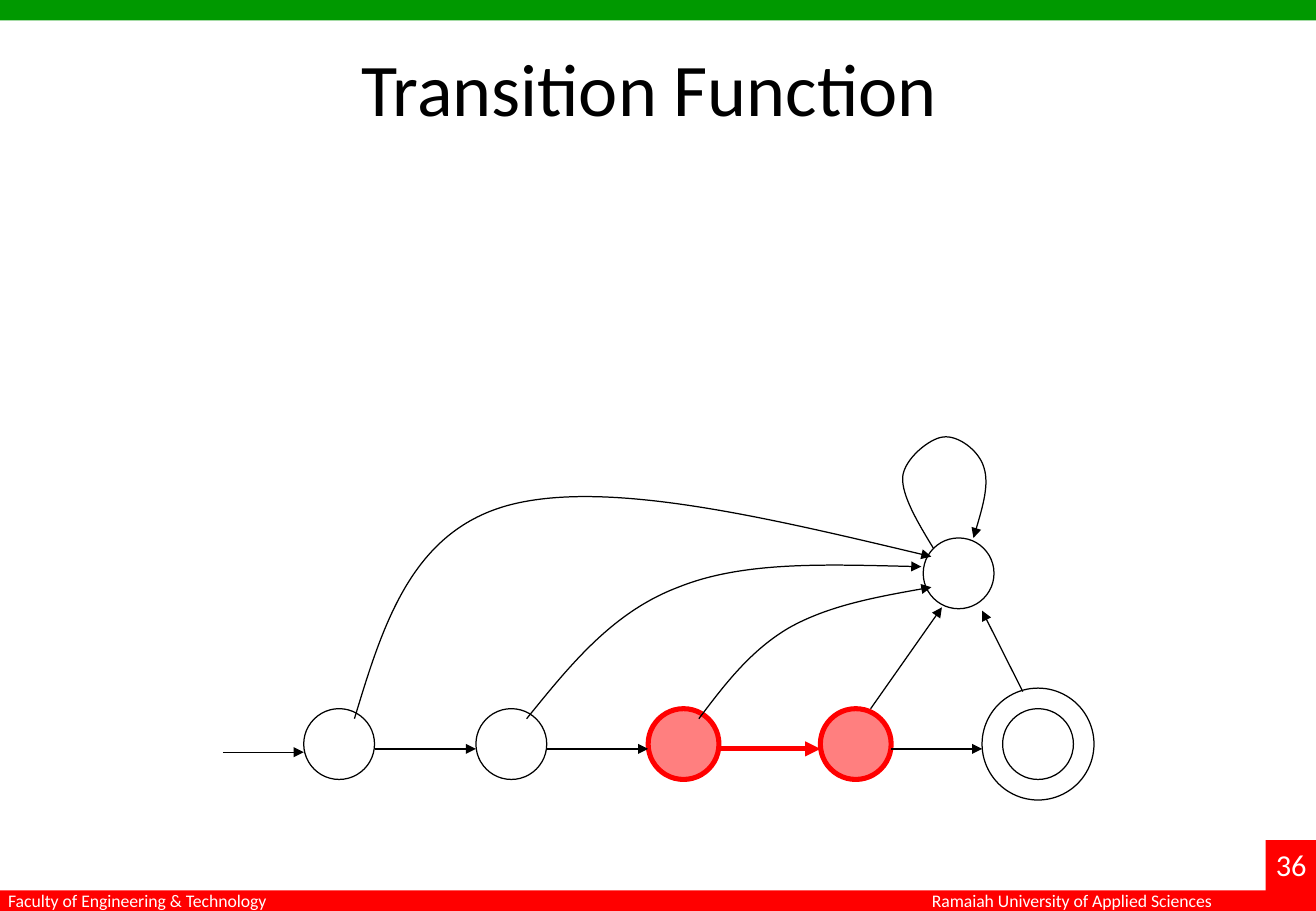
from dataclasses import dataclass

from lxml import etree
from pptx import Presentation
from pptx.dml.color import RGBColor
from pptx.enum.shapes import MSO_CONNECTOR, MSO_SHAPE
from pptx.enum.text import PP_ALIGN
from pptx.oxml.ns import qn
from pptx.util import Cm, Pt

STRAIGHT = MSO_CONNECTOR.STRAIGHT
RECTANGLE, OVAL = MSO_SHAPE.RECTANGLE, MSO_SHAPE.OVAL
LEFT, CENTER = PP_ALIGN.LEFT, PP_ALIGN.CENTER
Point = tuple[float, float]


@dataclass(frozen=True)
class Theme:
    font: str = "Calibri"
    black: RGBColor = RGBColor(0, 0, 0)
    white: RGBColor = RGBColor(255, 255, 255)
    red: RGBColor = RGBColor(255, 0, 0)
    green: RGBColor = RGBColor(0, 0x99, 0)
    title: float = 44
    number: float = 18
    footer: float = 10.5
    thin: float = 0.75
    thick: float = 3


THEME = Theme()


@dataclass(frozen=True)
class Bar:
    left: float
    top: float
    width: float
    height: float
    color: RGBColor


@dataclass(frozen=True)
class Label:
    text: str
    left: float
    top: float
    width: float
    height: float
    size: float
    color: RGBColor = THEME.white
    align: PP_ALIGN = LEFT
    wrap: bool = False


@dataclass(frozen=True)
class State:
    center: Point
    radius: float
    active: bool = False


@dataclass(frozen=True)
class Arrow:
    start: Point
    end: Point
    active: bool = False


@dataclass(frozen=True)
class Curve:
    start: Point
    controls: tuple[Point, ...]  # three points for each Bézier segment


def style_line(line, active: bool) -> None:
    line.color.rgb = THEME.red if active else THEME.black
    line.width = Pt(THEME.thick if active else THEME.thin)


def add_arrowhead(shape) -> None:
    outline = shape._element.spPr.find(qn("a:ln"))
    etree.SubElement(outline, qn("a:tailEnd"), type="triangle")


def draw_bar(slide, bar: Bar) -> None:
    shape = slide.shapes.add_shape(
        RECTANGLE, Cm(bar.left), Cm(bar.top), Cm(bar.width), Cm(bar.height))
    shape.shadow.inherit = False
    shape.fill.solid()
    shape.fill.fore_color.rgb = bar.color
    shape.line.fill.background()


def draw_label(slide, label: Label) -> None:
    box = slide.shapes.add_textbox(
        Cm(label.left), Cm(label.top), Cm(label.width), Cm(label.height))
    box.text_frame.word_wrap = label.wrap
    paragraph = box.text_frame.paragraphs[0]
    paragraph.text = label.text
    paragraph.alignment = label.align
    paragraph.font.name = THEME.font
    paragraph.font.size = Pt(label.size)
    paragraph.font.color.rgb = label.color


def draw_state(slide, state: State) -> None:
    x, y = state.center
    shape = slide.shapes.add_shape(
        OVAL, Cm(x - state.radius), Cm(y - state.radius),
        Cm(2 * state.radius), Cm(2 * state.radius))
    shape.shadow.inherit = False
    style_line(shape.line, state.active)
    if state.active:
        shape.fill.solid()
        shape.fill.fore_color.rgb = THEME.red
        color = shape._element.spPr.find(f"{qn('a:solidFill')}/{qn('a:srgbClr')}")
        etree.SubElement(color, qn("a:alpha"), val="50000")
    else:
        shape.fill.background()


def draw_arrow(slide, arrow: Arrow) -> None:
    connector = slide.shapes.add_connector(
        STRAIGHT, *(Cm(value) for value in arrow.start + arrow.end))
    style_line(connector.line, arrow.active)
    add_arrowhead(connector)
    etree.SubElement(connector._element.spPr, qn("a:effectLst"))


def draw_curve(slide, curve: Curve) -> None:
    builder = slide.shapes.build_freeform(Cm(curve.start[0]), Cm(curve.start[1]))
    builder.add_line_segments([(Cm(x), Cm(y)) for x, y in curve.controls], close=False)
    shape = builder.convert_to_shape()
    shape.shadow.inherit = False
    shape.fill.background()
    style_line(shape.line, False)
    add_arrowhead(shape)
    # Turn each three straight steps into one Bézier segment
    outline = next(shape._element.iter(qn("a:path")))
    steps = outline.findall(qn("a:lnTo"))
    for first in range(0, len(steps), 3):
        bezier = etree.SubElement(outline, qn("a:cubicBezTo"))
        for step in steps[first:first + 3]:
            bezier.append(step[0])
            outline.remove(step)


WIDTH, HEIGHT = 27.51, 19.05
BAND = 0.43
BARS = [
    Bar(0, HEIGHT - BAND, WIDTH, BAND, THEME.red),
    Bar(0, 0, WIDTH, BAND, THEME.green),
    Bar(26.46, 17.57, 1.05, 1.48, THEME.red),
]
LABELS = [
    Label("Ramaiah University of Applied Sciences", 19.23, 18.49, 6.5, 0.71, THEME.footer),
    Label("Faculty of Engineering & Technology", -0.08, 18.49, 6.05, 0.71, THEME.footer),
    Label("36", 26.42, 17.57, 1.27, 1.02, THEME.number),
    Label("Transition Function", 1.19, 0.76, 24.77, 3.18, THEME.title,
          THEME.black, CENTER, True),
]

# Chain of states, with the accepting state at its end and the trap state above
RADIUS, ACCEPT_RADIUS = 0.74, 1.17
FIRST_X, PITCH, CHAIN_Y, ARROW_Y = 7.09, 3.6, 15.56, 15.66
ACCEPT = (21.7, CHAIN_Y)
ACTIVE = (2, 3)
CHAIN = [State((FIRST_X + PITCH * i, CHAIN_Y), RADIUS, i in ACTIVE) for i in range(4)]
STATES = CHAIN + [
    State(ACCEPT, RADIUS), State(ACCEPT, ACCEPT_RADIUS), State((20.04, 11.99), RADIUS)]

TARGETS = [state.center[0] - RADIUS for state in CHAIN[1:]] + [ACCEPT[0] - ACCEPT_RADIUS]
ARROWS = [Arrow((4.66, 15.73), (6.35, 15.73))] + [
    Arrow((state.center[0] + RADIUS, ARROW_Y), (target, ARROW_Y), i == ACTIVE[0])
    for i, (state, target) in enumerate(zip(CHAIN, TARGETS))
] + [Arrow((18.2, 14.82), (19.69, 12.7)), Arrow((21.38, 14.46), (20.53, 12.77))]

EXITS = [(state.center[0] + 0.32, 15.03) for state in CHAIN]
CURVES = [
    Curve((19.51, 11.46), (
        (19.18, 10.92), (18.85, 10.36), (18.87, 9.98),
        (18.9, 9.6), (19.43, 9.17), (19.71, 9.14),
        (20.02, 9.09), (20.47, 9.42), (20.57, 9.78),
        (20.68, 10.13), (20.52, 10.69), (20.35, 11.25))),
    Curve(EXITS[2], ((15.16, 14.3), (15.7, 13.59), (16.51, 13.12),
                     (17.32, 12.67), (18.39, 12.47), (19.47, 12.28))),
    Curve(EXITS[1], ((11.91, 13.92), (12.8, 12.8), (14.18, 12.28),
                     (15.54, 11.73), (17.4, 11.81), (19.26, 11.85))),
    Curve(EXITS[0], ((8, 13.08), (8.59, 11.15), (10.58, 10.58),
                     (12.6, 10.01), (16.03, 10.82), (19.47, 11.64))),
]


def main() -> None:
    presentation = Presentation()
    presentation.slide_width, presentation.slide_height = Cm(WIDTH), Cm(HEIGHT)
    slide = presentation.slides.add_slide(presentation.slide_layouts[6])
    for draw, items in ((draw_bar, BARS), (draw_label, LABELS), (draw_state, STATES),
                        (draw_arrow, ARROWS), (draw_curve, CURVES)):
        for item in items:
            draw(slide, item)
    presentation.save("out.pptx")


if __name__ == "__main__":
    main()
